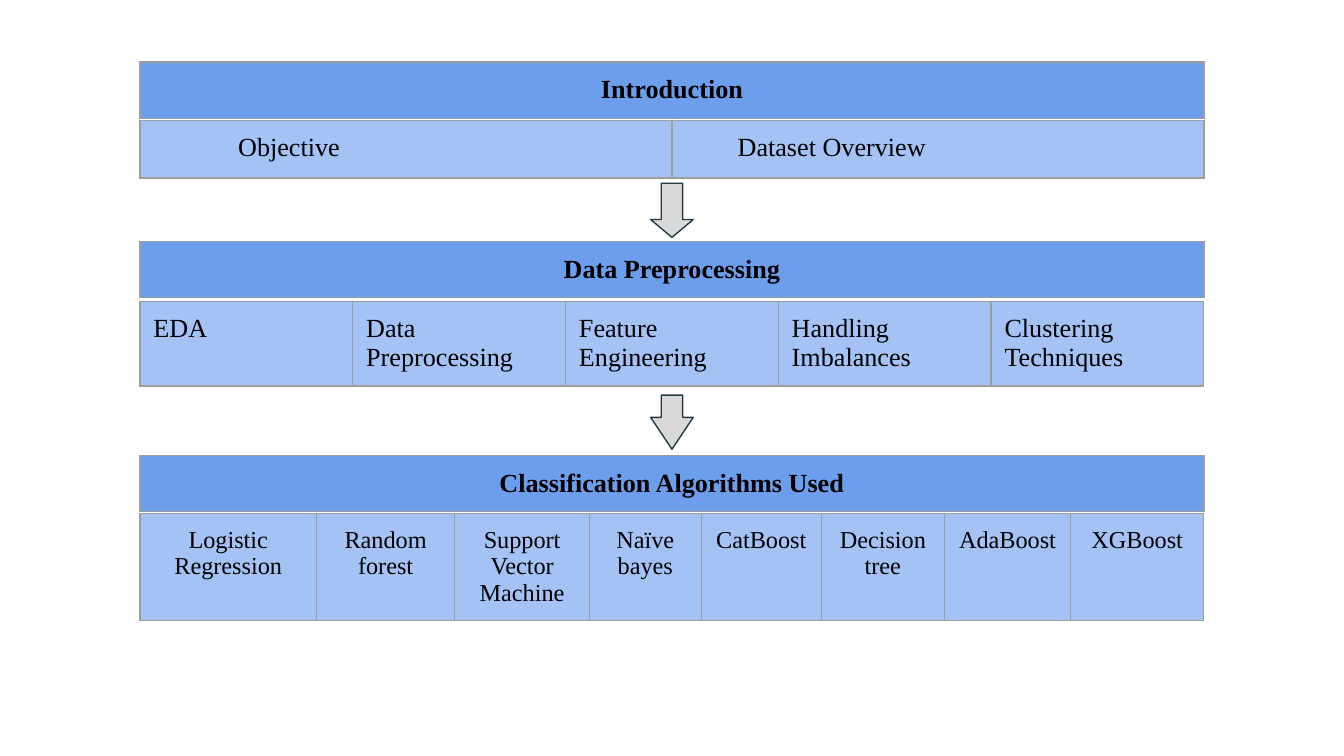
from dataclasses import dataclass

from lxml import etree
from pptx import Presentation
from pptx.dml.color import RGBColor
from pptx.enum.shapes import MSO_SHAPE
from pptx.enum.text import PP_ALIGN
from pptx.oxml.ns import qn
from pptx.util import Pt

DOWN_ARROW = MSO_SHAPE.DOWN_ARROW
LEFT, CENTER = PP_ALIGN.LEFT, PP_ALIGN.CENTER
BLANK_LAYOUT = 6


@dataclass(frozen=True)
class Theme:
    font: str = "Times New Roman"
    text: str = "000000"
    heading_fill: str = "6D9EEB"
    step_fill: str = "A4C2F4"
    border: str = "9E9E9E"
    arrow_fill: str = "D9D9D9"
    arrow_line: str = "233A44"
    line_width: float = 0.75
    size: float = 14
    small_size: float = 13
    cell_margin: float = 7.2


THEME = Theme()
STAGE_LEFT, STAGE_WIDTH = 75, 570
HEADING_HEIGHT = 30.2
ARROW_WIDTH, ARROW_HEIGHT = 22.8, 29

# Heading, stage top, top and height of the steps, steps, and row options.
STAGES = [
    ("Introduction", 33.2, 64.4, 31, ["Objective", "Dataset Overview"],
     {"indents": [45.4, 28]}),
    ("Data Preprocessing", 129.3, 161.4, 45.3,
     ["EDA", "Data Preprocessing", "Feature Engineering",
      "Handling Imbalances", "Clustering Techniques"], {}),
    ("Classification Algorithms Used", 244, 275, 57.5,
     ["Logistic Regression", "Random forest", "Support Vector Machine",
      "Naïve bayes", "CatBoost", "Decision tree", "AdaBoost", "XGBoost"],
     {"size": THEME.small_size, "align": CENTER,
      "widths": [94.5, 74.2, 72, 60, 64.3, 66, 67.6, 71.4]}),
]
# Top of each arrow and the length of its head relative to its width.
ARROWS = [(98.2, 0.42), (211.7, 0.75)]


def add_borders(cell):
    properties = cell._tc.get_or_add_tcPr()
    for side in ("a:lnL", "a:lnR", "a:lnT", "a:lnB"):
        line = etree.SubElement(properties, qn(side), w=str(Pt(THEME.line_width)))
        fill = etree.SubElement(line, qn("a:solidFill"))
        etree.SubElement(fill, qn("a:srgbClr"), val=THEME.border)


def add_row(slide, box, labels, fill, size=THEME.size, align=LEFT,
            bold=False, widths=None, indents=None):
    """Add a one-row table; columns are equal unless widths are given."""
    left, top, width, height = map(Pt, box)
    count = len(labels)
    table = slide.shapes.add_table(1, count, left, top, width, height).table
    table.first_row = table.horz_banding = False
    widths = widths or [box[2] / count] * count
    indents = indents or [0] * count
    for column, cell, label, column_width, indent in zip(
            table.columns, table.iter_cells(), labels, widths, indents):
        column.width = Pt(column_width)
        add_borders(cell)
        cell.fill.solid()
        cell.fill.fore_color.rgb = RGBColor.from_string(fill)
        cell.margin_top = cell.margin_bottom = cell.margin_right = Pt(THEME.cell_margin)
        cell.margin_left = Pt(THEME.cell_margin + indent)
        cell.text_frame.text = label
        paragraph = cell.text_frame.paragraphs[0]
        paragraph.alignment = align
        font = paragraph.runs[0].font
        font.name, font.size, font.bold = THEME.font, Pt(size), bold
        font.color.rgb = RGBColor.from_string(THEME.text)


def add_stage(slide, box, heading, steps_offset, steps, options):
    left, top, width, height = box
    add_row(slide, (left, top, width, HEADING_HEIGHT), [heading],
            THEME.heading_fill, align=CENTER, bold=True)
    add_row(slide, (left, top + steps_offset, width, height - steps_offset),
            steps, THEME.step_fill, **options)


def add_down_arrow(slide, box, head_ratio):
    arrow = slide.shapes.add_shape(DOWN_ARROW, *map(Pt, box))
    arrow.adjustments[0] = 0.5
    arrow.adjustments[1] = head_ratio
    arrow.shadow.inherit = False
    arrow.fill.solid()
    arrow.fill.fore_color.rgb = RGBColor.from_string(THEME.arrow_fill)
    arrow.line.color.rgb = RGBColor.from_string(THEME.arrow_line)
    arrow.line.width = Pt(THEME.line_width)


def main():
    presentation = Presentation()
    presentation.slide_width, presentation.slide_height = Pt(720), Pt(405)
    slide = presentation.slides.add_slide(presentation.slide_layouts[BLANK_LAYOUT])
    for heading, top, steps_top, steps_height, steps, options in STAGES:
        box = (STAGE_LEFT, top, STAGE_WIDTH, steps_top + steps_height - top)
        add_stage(slide, box, heading, steps_top - top, steps, options)
    arrow_left = STAGE_LEFT + (STAGE_WIDTH - ARROW_WIDTH) / 2
    for top, head_ratio in ARROWS:
        add_down_arrow(slide, (arrow_left, top, ARROW_WIDTH, ARROW_HEIGHT), head_ratio)
    presentation.save("out.pptx")


if __name__ == "__main__":
    main()
